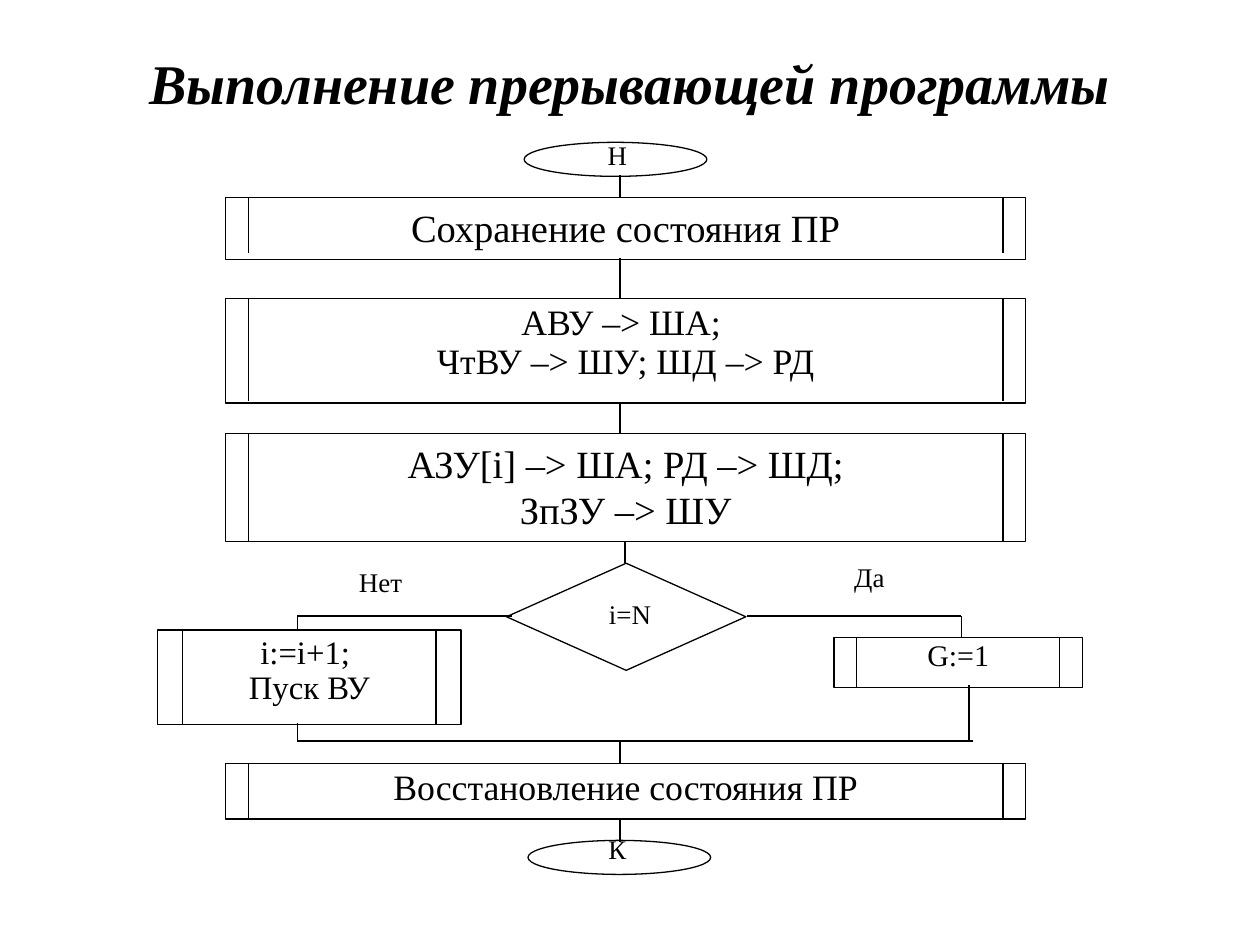
from collections import namedtuple

from lxml import etree
from pptx import Presentation
from pptx.dml.color import RGBColor
from pptx.enum.shapes import MSO_CONNECTOR, MSO_SHAPE
from pptx.enum.text import MSO_ANCHOR, PP_ALIGN
from pptx.oxml.ns import qn
from pptx.util import Inches, Pt

COLORS = {"ink": "000000", "paper": "FFFFFF"}
FONT = "Times New Roman"
LINE_WIDTH = Pt(0.75)
AXIS = 4.92

Box = namedtuple("Box", "left top width height")


def color(name):
    """Return a named colour of the palette."""
    return RGBColor.from_string(COLORS[name])


def inches(box):
    """Convert a box to slide lengths."""
    return [Inches(value) for value in box]


def write(shape, lines, size, spacing=1.0, anchor=MSO_ANCHOR.TOP, emphasis=False):
    """Write centred lines into a shape, one paragraph each."""
    frame = shape.text_frame
    frame.word_wrap = True
    frame.vertical_anchor = anchor
    frame.margin_left = frame.margin_right = Inches(0.1)
    frame.margin_top = frame.margin_bottom = Inches(0.05)
    for index, line in enumerate(lines):
        paragraph = frame.add_paragraph() if index else frame.paragraphs[0]
        paragraph.alignment = PP_ALIGN.CENTER
        paragraph.line_spacing = spacing
        paragraph.space_before = paragraph.space_after = Pt(0)
        run = paragraph.add_run()
        run.text = line
        run.font.name = FONT
        run.font.size = Pt(size)
        run.font.bold = run.font.italic = emphasis
        run.font.color.rgb = color("ink")


def add_outline(slide, kind, box):
    """Add an unfilled preset shape with a thin outline."""
    shape = slide.shapes.add_shape(kind, *inches(box))
    shape.shadow.inherit = False
    shape.fill.background()
    shape.line.color.rgb = color("ink")
    shape.line.width = LINE_WIDTH
    return shape


def add_wire(slide, *points):
    """Join consecutive points with straight connectors."""
    for start, end in zip(points, points[1:]):
        wire = slide.shapes.add_connector(
            MSO_CONNECTOR.STRAIGHT, *inches(start), *inches(end))
        wire.line.color.rgb = color("ink")
        wire.line.width = LINE_WIDTH
        etree.SubElement(wire._element.spPr, qn("a:effectLst"))


def add_label(slide, left, top, text, size=15.4, spacing=0.8):
    """Add a one-line label of the common label size."""
    label = slide.shapes.add_textbox(*inches(Box(left, top, 1.94, 0.37)))
    write(label, [text], size, spacing)


def add_title(slide, box, text):
    """Place and fill the title placeholder."""
    title = slide.shapes.title
    title.left, title.top, title.width, title.height = inches(box)
    write(title, [text], 32, anchor=MSO_ANCHOR.MIDDLE, emphasis=True)


def add_terminal(slide, box, label_top, text):
    """Add a start or end oval with its letter on the flow axis."""
    add_outline(slide, MSO_SHAPE.OVAL, box)
    add_label(slide, 3.93, label_top, text, 15.3, 0.9)


def add_process(slide, box, lines, size, spacing=1.0, inset=0.18, rail=None):
    """Add a predefined-process block with a rail inside each side."""
    write(add_outline(slide, MSO_SHAPE.RECTANGLE, box), lines, size, spacing)
    bottom = box.top + (rail or box.height)
    for x in (box.left + inset, box.left + box.width - inset):
        add_wire(slide, (x, box.top), (x, bottom))


def add_decision(slide, box, condition, no_text, yes_text):
    """Add the condition diamond with its two branch labels."""
    add_outline(slide, MSO_SHAPE.DIAMOND, box)
    add_label(slide, box.left + 0.01, box.top + 0.27, condition)
    add_label(slide, box.left - 1.97, box.top + 0.02, no_text)
    add_label(slide, box.left + 1.91, box.top - 0.02, yes_text)


def add_flow(slide):
    """Draw the connecting lines between the blocks."""
    for top, bottom in ((1.39, 1.57), (2.05, 2.37), (3.19, 3.44),
                        (5.88, 6.06), (6.5, 6.68)):
        add_wire(slide, (AXIS, top), (AXIS, bottom))
    add_wire(slide, (4.96, 4.3), (4.96, 4.47))
    add_wire(slide, (4.06, 4.89), (2.36, 4.89), (2.36, 5))
    add_wire(slide, (5.93, 4.89), (7.63, 4.89), (7.63, 5.06))
    add_wire(slide, (2.36, 5.74), (2.36, 5.88), (7.72, 5.88))
    add_wire(slide, (7.69, 5.44), (7.69, 5.88))


def main():
    """Build the flowchart slide."""
    presentation = Presentation()
    presentation.slide_width, presentation.slide_height = Inches(10), Inches(7.5)
    slide = presentation.slides.add_slide(presentation.slide_layouts[5])
    slide.background.fill.solid()
    slide.background.fill.fore_color.rgb = color("paper")

    add_title(slide, Box(0.5, 0.3, 9, 0.7), "Выполнение прерывающей программы")
    add_terminal(slide, Box(4.16, 1.13, 1.45, 0.27), 1.08, "Н")
    for top, height, lines, size, spacing, rail in (
        (1.57, 0.49, ["Сохранение состояния ПР"], 22, 1.0, 0.44),
        (2.37, 0.83, ["АВУ –> ША; ", "ЧтВУ –> ШУ; ШД –> РД"], 20.4, 0.9, 0.81),
        (3.44, 0.86, ["АЗУ[i] –> ША; РД –> ШД;", "ЗпЗУ –> ШУ"], 22, 1.0, None),
        (6.06, 0.44, ["Восстановление состояния ПР"], 20.4, 0.9, None),
    ):
        add_process(slide, Box(1.79, top, 6.35, height), lines, size, spacing,
                    rail=rail)
    add_decision(slide, Box(4.02, 4.47, 1.9, 0.85), "i=N", "Нет", "Да")
    add_process(slide, Box(1.25, 5, 2.41, 0.75), ["i:=i+1; ", "Пуск ВУ"],
                18.7, 0.9, inset=0.2)
    add_process(slide, Box(6.62, 5.06, 1.97, 0.4), ["G:=1"], 17.1, 0.8)
    add_terminal(slide, Box(4.19, 6.67, 1.45, 0.27), 6.59, "К")
    add_flow(slide)
    presentation.save("out.pptx")


if __name__ == "__main__":
    main()
